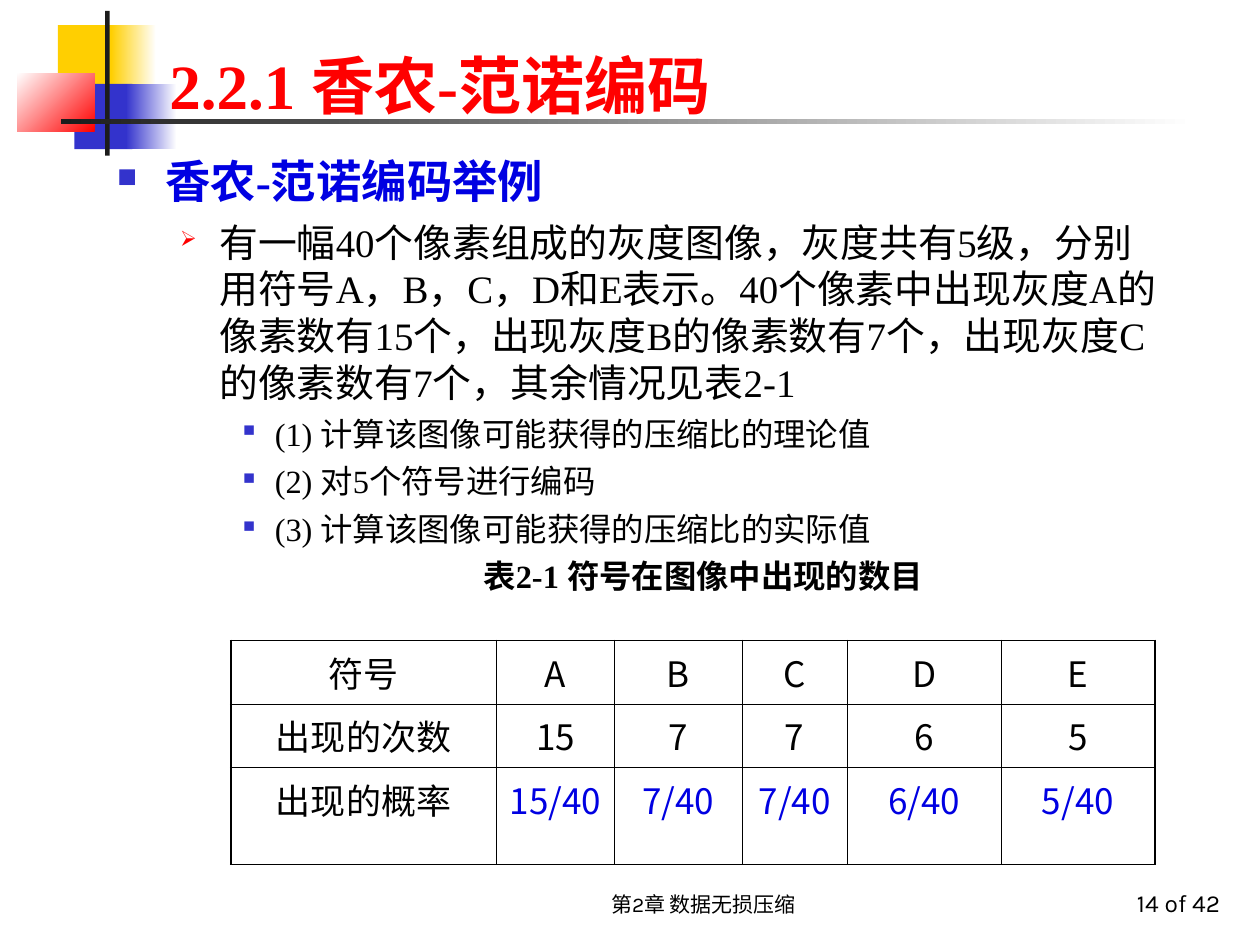
from typing import NamedTuple, Optional

from lxml import etree
from pptx import Presentation
from pptx import util as u
from pptx.dml.color import RGBColor
from pptx.enum import shapes, text
from pptx.oxml.ns import qn

BLACK, WHITE, RED, BLUE = "000000", "FFFFFF", "FF0000", "0000E2"
YELLOW, INDIGO, INK = "FFCF01", "3333CC", "1C1C1C"
SERIF, SANS, FOOT = "Times New Roman", "Noto Sans CJK SC", "Karla"
SQUARE, ARROW = "n", "Ø"  # Wingdings codes
LEFT, CENTER, RIGHT = text.PP_ALIGN.LEFT, text.PP_ALIGN.CENTER, text.PP_ALIGN.RIGHT


class Box(NamedTuple):
    """Left, top, width and height in centimetres."""
    x: float
    y: float
    w: float
    h: float


class Block(NamedTuple):
    box: Box
    start: str
    end: Optional[str] = None
    angle: int = 0


class Level(NamedTuple):
    size: float
    before: float
    indent: float
    hang: float
    bullet: Optional[str] = None
    bullet_color: str = INDIGO
    bullet_pct: int = 50
    color: str = BLACK
    bold: bool = False
    align: text.PP_ALIGN = LEFT


BLOCKS = [
    Block(Box(1.17, 0.51, 1.22, 1.32), YELLOW),
    Block(Box(2.24, 0.51, 0.91, 1.32), WHITE, YELLOW, 180),
    Block(Box(1.5, 1.69, 1.17, 1.32), INDIGO),
    Block(Box(2.54, 1.69, 1.02, 1.32), WHITE, INDIGO, 180),
    Block(Box(0.35, 1.48, 1.56, 1.18), RED, WHITE, 135),
    Block(Box(2.12, 0.22, 0.09, 2.92), INK),
    Block(Box(1.23, 2.4, 22.86, 0.1), WHITE, INK, 180),
]

HEADING = Level(25.9, 0, 0.97, 0.97, SQUARE, bullet_pct=60, color=BLUE, bold=True)
DETAIL = Level(22.2, 6, 2.06, 0.79, ARROW, RED, 55)
TASK = Level(18.5, 5, 3.18, 0.64, SQUARE)
CAPTION = Level(18.5, 5, 3.18, 0.64, bold=True, align=CENTER)

BODY = [
    (HEADING, "香农-范诺编码举例"),
    (DETAIL, "有一幅40个像素组成的灰度图像，灰度共有5级，分别用符号A，B，C，D和E表示。"
             "40个像素中出现灰度A的像素数有15个，出现灰度B的像素数有7个，"
             "出现灰度C的像素数有7个，其余情况见表2-1"),
    (TASK, "(1) 计算该图像可能获得的压缩比的理论值"),
    (TASK, "(2) 对5个符号进行编码"),
    (TASK, "(3) 计算该图像可能获得的压缩比的实际值"),
    (CAPTION, "表2-1 符号在图像中出现的数目"),
]

COUNTS = {"A": 15, "B": 7, "C": 7, "D": 6, "E": 5}
ROWS = [
    ["符号", *COUNTS],
    ["出现的次数", *map(str, COUNTS.values())],
    ["出现的概率", *(f"{n}/{sum(COUNTS.values())}" for n in COUNTS.values())],
]
COL_WIDTHS = [5.36, 2.38, 2.57, 2.12, 3.1, 3.1]
ROW_HEIGHTS = [1.28, 1.28, 1.96]


def rgb(color: str) -> RGBColor:
    return RGBColor.from_string(color)


def cm(box: Box) -> list:
    return [u.Cm(v) for v in box]


def add_run(p, words: str, size: float, font: str, color: str = BLACK,
            bold: bool = False) -> None:
    r = p.add_run()
    r.text = words
    for name, value in {"size": u.Pt(size), "name": font, "bold": bold}.items():
        setattr(r.font, name, value)
    r.font.color.rgb = rgb(color)
    etree.SubElement(r._r.get_or_add_rPr(), qn("a:ea"), typeface=SANS)


def draw_block(s, block: Block) -> None:
    sp = s.shapes.add_shape(shapes.MSO_SHAPE.RECTANGLE, *cm(block.box))
    sp.shadow.inherit = False
    sp.line.fill.background()
    if block.end is None:
        sp.fill.solid()
        sp.fill.fore_color.rgb = rgb(block.start)
        return
    sp.fill.gradient()
    sp.fill.gradient_angle = block.angle
    for stop, color in zip(sp.fill.gradient_stops, (block.start, block.end)):
        stop.color.rgb = rgb(color)


def add_text_box(s, box: Box, anchor: text.MSO_ANCHOR):
    tf = s.shapes.add_textbox(*cm(box)).text_frame
    tf.word_wrap = True
    tf.vertical_anchor = anchor
    return tf


def format_level(p, level: Level) -> None:
    pPr = p._p.get_or_add_pPr()
    pPr.set("marL", str(u.Cm(level.indent)))
    pPr.set("indent", str(-u.Cm(level.hang)))
    pPr.set("hangingPunct", "0")
    if level.bullet:
        color = etree.SubElement(pPr, qn("a:buClr"))
        etree.SubElement(color, qn("a:srgbClr"), val=level.bullet_color)
        etree.SubElement(pPr, qn("a:buSzPct"), val=str(level.bullet_pct * 1000))
        etree.SubElement(pPr, qn("a:buFont"), typeface="Wingdings", charset="2")
        etree.SubElement(pPr, qn("a:buChar"), char=level.bullet)
    formats = {"alignment": level.align, "line_spacing": 1.0,
               "space_before": u.Pt(level.before)}
    for name, value in formats.items():
        setattr(p, name, value)


def set_borders(cell, widths: dict) -> None:
    tcPr = cell._tc.get_or_add_tcPr()
    for i, (side, width) in enumerate(widths.items()):
        ln = etree.Element(qn(f"a:{side}"), w=str(u.Pt(width)))
        fill = etree.SubElement(ln, qn("a:solidFill"))
        etree.SubElement(fill, qn("a:srgbClr"), val=BLACK)
        tcPr.insert(i, ln)


def draw_table(s, box: Box) -> None:
    table = s.shapes.add_table(len(ROWS), len(COL_WIDTHS), *cm(box)).table
    for col, width in zip(table.columns, COL_WIDTHS):
        col.width = u.Cm(width)
    for row, height in zip(table.rows, ROW_HEIGHTS):
        row.height = u.Cm(height)
    last_row, last_col = len(ROWS) - 1, len(COL_WIDTHS) - 1
    for i, row in enumerate(ROWS):
        for j, words in enumerate(row):
            cell = table.cell(i, j)
            cell.fill.background()
            cell.vertical_anchor = text.MSO_ANCHOR.TOP if i else text.MSO_ANCHOR.MIDDLE
            outer = {"lnL": j == 0, "lnR": j == last_col,
                     "lnT": i == 0, "lnB": i == last_row}
            set_borders(cell, {k: 1.08 if v else 0.45 for k, v in outer.items()})
            p = cell.text_frame.paragraphs[0]
            p.alignment = CENTER
            add_run(p, words, 20, SANS, BLUE if i == last_row and j else BLACK)


def draw_footer(s, box: Box, words: str, size: float, align: text.PP_ALIGN) -> None:
    p = add_text_box(s, box, text.MSO_ANCHOR.BOTTOM).paragraphs[0]
    p.alignment = align
    add_run(p, words, size, FOOT)


def main() -> None:
    prs = Presentation()
    prs.slide_width, prs.slide_height = u.Cm(25.4), u.Cm(19.05)
    s = prs.slides.add_slide(prs.slide_layouts[5])

    # Corner decoration and rule
    for block in BLOCKS:
        draw_block(s, block)

    # Title, in front of the decoration
    title = s.shapes.title
    s.shapes._spTree.append(title._element)
    title.left, title.top, title.width, title.height = cm(Box(3.16, 0.43, 21.64, 2.15))
    title.text_frame.vertical_anchor = text.MSO_ANCHOR.BOTTOM
    p = title.text_frame.paragraphs[0]
    p.alignment = LEFT
    add_run(p, "2.2.1 香农-范诺编码", 36, SERIF, RED, True)

    # Body outline
    tf = add_text_box(s, Box(2.11, 2.97, 21.59, 9.96), text.MSO_ANCHOR.TOP)
    for i, (level, words) in enumerate(BODY):
        p = tf.add_paragraph() if i else tf.paragraphs[0]
        format_level(p, level)
        add_run(p, words, level.size, SERIF, level.color, level.bold)

    # Symbol table
    draw_table(s, Box(4.65, 12.91, sum(COL_WIDTHS), sum(ROW_HEIGHTS)))

    # Footer
    draw_footer(s, Box(10.16, 17.34, 8.05, 1.27), "第2章 数据无损压缩", 12, CENTER)
    draw_footer(s, Box(19.57, 17.34, 5.28, 1.27), "14 of 42", 14, RIGHT)

    prs.save("out.pptx")


if __name__ == "__main__":
    main()
